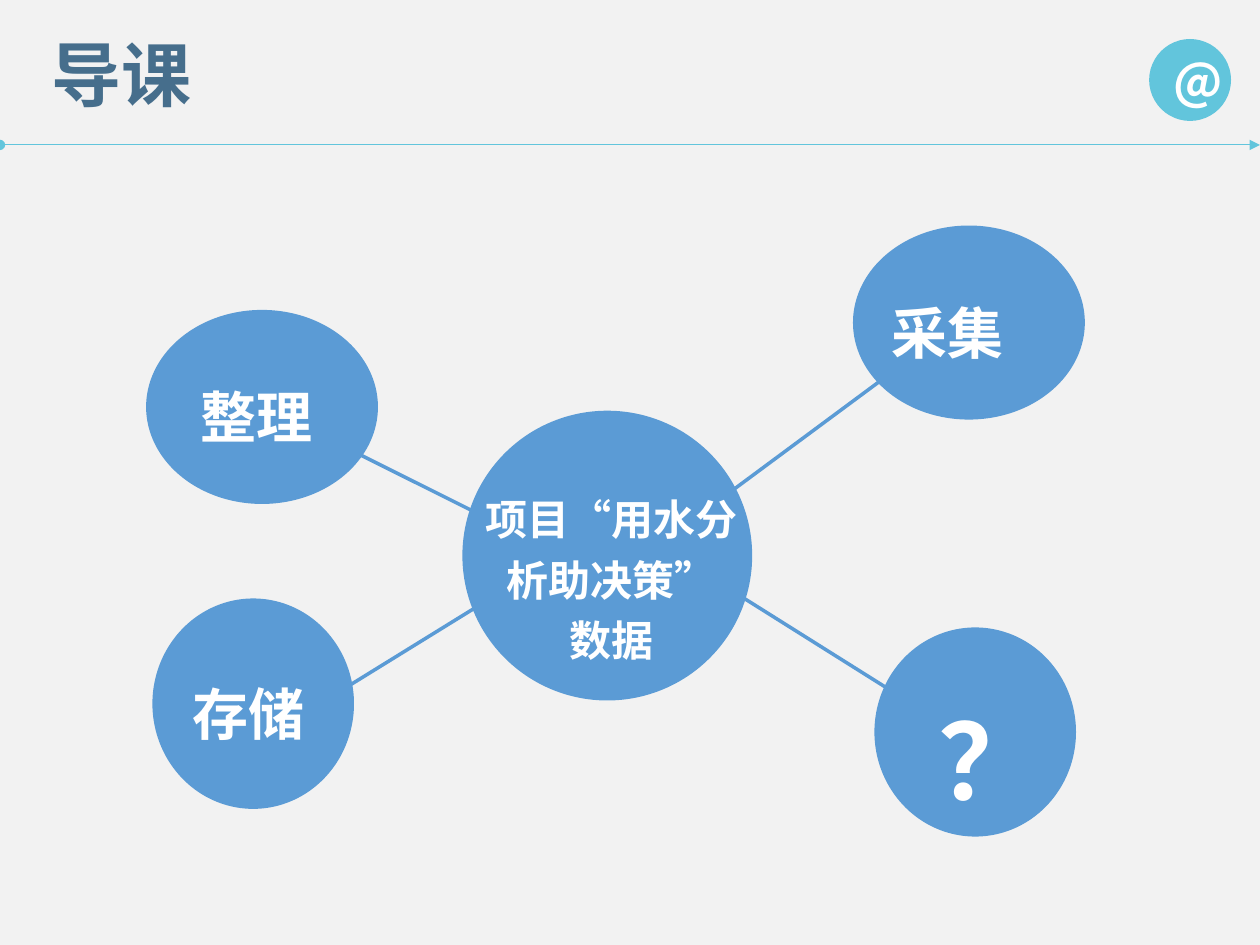
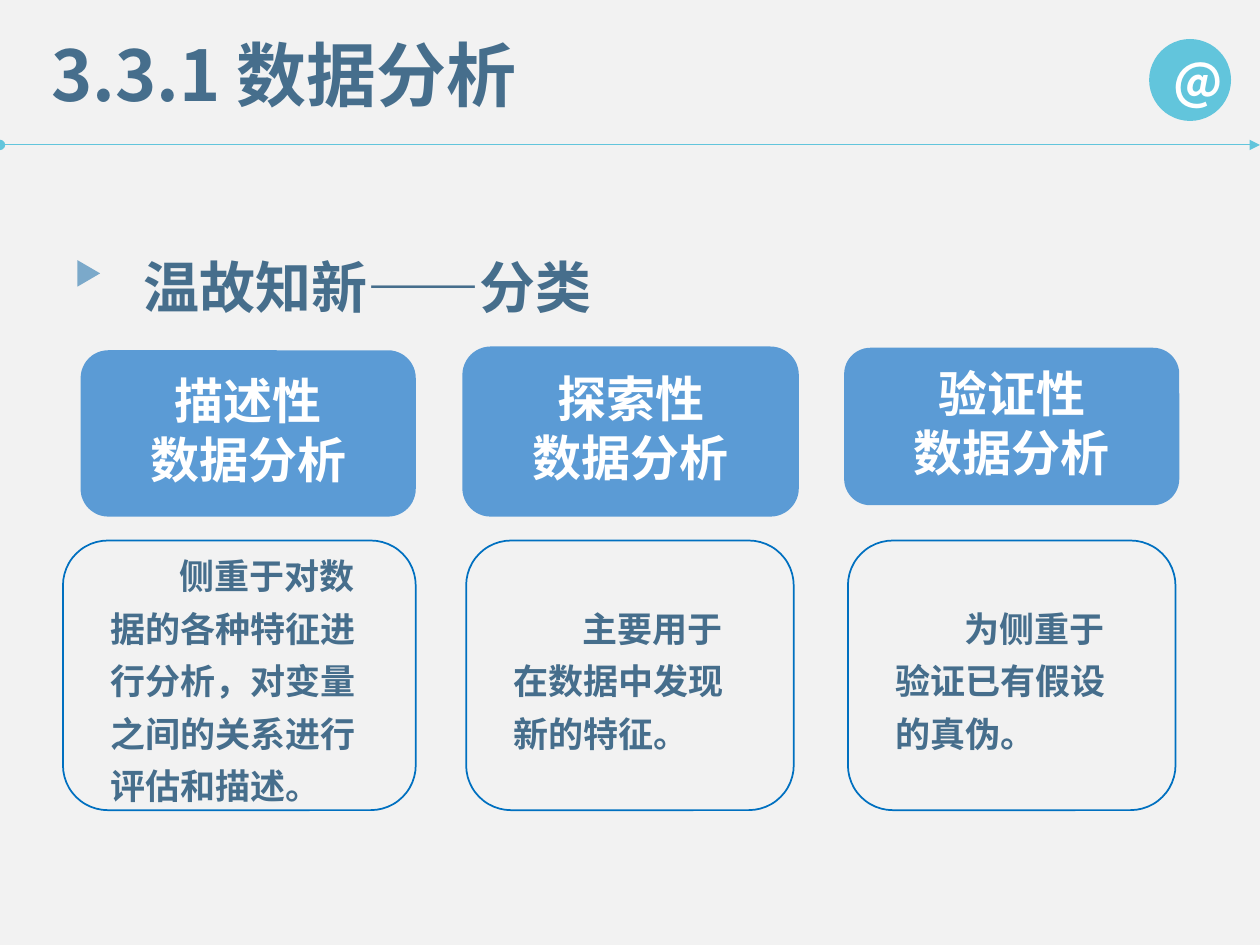
from lxml import etree
from pptx import Presentation
from pptx.dml.color import RGBColor
from pptx.enum.lang import MSO_LANGUAGE_ID
from pptx.enum.shapes import MSO_CONNECTOR, MSO_SHAPE
from pptx.enum.text import MSO_ANCHOR, MSO_AUTO_SIZE, PP_ALIGN
from pptx.oxml.ns import qn
from pptx.util import Inches, Pt

# Shared look
PAPER = RGBColor(0xF2, 0xF2, 0xF2)
SLATE = RGBColor(0x46, 0x6E, 0x8C)
AQUA = RGBColor(0x62, 0xC5, 0xDC)
BLUE = RGBColor(0x5B, 0x9B, 0xD5)
DEEP_BLUE = RGBColor(0x00, 0x70, 0xC0)
PALE_BLUE = RGBColor(0x7B, 0xA9, 0xCA)
WHITE = RGBColor(0xFF, 0xFF, 0xFF)
FONT = "Noto Sans CJK SC"
CHINESE = MSO_LANGUAGE_ID.SIMPLIFIED_CHINESE
STRAIGHT = MSO_CONNECTOR.STRAIGHT
OVAL, ROUNDED, TRIANGLE = MSO_SHAPE.OVAL, MSO_SHAPE.ROUNDED_RECTANGLE, MSO_SHAPE.ISOSCELES_TRIANGLE
LEFT, CENTER = PP_ALIGN.LEFT, PP_ALIGN.CENTER
TOP, MIDDLE = MSO_ANCHOR.TOP, MSO_ANCHOR.MIDDLE
NO_AUTOFIT = MSO_AUTO_SIZE.NONE
TITLE_ONLY = 5


def write(frame, lines, size, color, **paragraph_format):
    """Fill a text frame with one bold paragraph per line."""
    frame.word_wrap = True
    for index, line in enumerate(lines):
        paragraph = frame.add_paragraph() if index else frame.paragraphs[0]
        for name, value in paragraph_format.items():
            setattr(paragraph, name, value)
        run = paragraph.add_run()
        run.text = line
        run.font.color.rgb = color
        for name, value in {"name": FONT, "size": Pt(size), "bold": True,
                            "language_id": CHINESE}.items():
            setattr(run.font, name, value)
        etree.SubElement(run.font._element, qn("a:ea"), typeface=FONT)


def draw(slide, kind, box, fill, outline=None):
    """Add a flat preset shape, or a connector when kind is STRAIGHT."""
    box = [Inches(length) for length in box]
    if kind == STRAIGHT:
        line = slide.shapes.add_connector(kind, *box)
        line.line.color.rgb = fill
        line.line.width = Pt(outline)
        etree.SubElement(line._element.spPr, qn("a:effectLst"))
        return line
    shape = slide.shapes.add_shape(kind, *box)
    shape.shadow.inherit = False
    shape.fill.solid()
    shape.fill.fore_color.rgb = fill
    if outline:
        shape.line.color.rgb = outline
        shape.line.width = Pt(1)
    else:
        shape.line.fill.background()
    return shape


prs = Presentation()
prs.slide_width, prs.slide_height = Inches(10), Inches(7.5)
background = prs.slide_master.background.fill
background.solid()
background.fore_color.rgb = PAPER

# Title, rule and badge on both slides
slides = []
for heading in ("导课", "3.3.1 数据分析"):
    slide = prs.slides.add_slide(prs.slide_layouts[TITLE_ONLY])
    title = slide.shapes.title
    title.left, title.top, title.width, title.height = map(Inches, (0.31, 0.2, 6.94, 0.77))
    title.text_frame.auto_size = NO_AUTOFIT
    title.text_frame.vertical_anchor = TOP
    write(title.text_frame, [heading], 40, SLATE, alignment=LEFT)

    rule = draw(slide, STRAIGHT, (0, 1.15, 10, 1.15), AQUA, 0.5)
    rule_line = rule.line._get_or_add_ln()
    etree.SubElement(rule_line, qn("a:headEnd"), type="oval")
    etree.SubElement(rule_line, qn("a:tailEnd"), type="triangle")

    badge = draw(slide, OVAL, (9.12, 0.31, 0.65, 0.65), AQUA)
    write(badge.text_frame, ["@"], 28, WHITE, alignment=CENTER)
    slides.append(slide)

lead_in, analysis = slides

# Lead-in: spokes beneath the bubbles
for spoke in ((2.6, 3.48, 3.88, 4.12), (2.66, 5.51, 3.94, 4.72),
              (5.33, 4.25, 7.49, 2.65), (5.78, 4.67, 7.07, 5.48)):
    draw(lead_in, STRAIGHT, spoke, BLUE, 2)

# Lead-in: bubble, label box, lines, text size, line spacing, alignment
bubbles = [
    ((3.67, 3.26, 2.3, 2.3), (3.7, 3.79, 2.3, 1.55),
     ["项目“用水分析助决策”", "数据"], 24, 1.2, CENTER),
    ((6.77, 1.79, 1.84, 1.54), (6.98, 2.05, 2.35, 0.78), ["采集"], 32, 1.5, LEFT),
    ((1.16, 2.46, 1.84, 1.54), (1.49, 2.72, 2.75, 0.78), ["整理"], 32, 1.5, LEFT),
    ((6.94, 4.98, 1.6, 1.66), (7.35, 4.97, 2.39, 1.38), ["？"], 60, 1.5, LEFT),
    ((1.21, 4.75, 1.6, 1.67), (1.43, 5.08, 2.41, 0.78), ["存储"], 32, 1.5, LEFT),
]
for bubble, label_box, lines, size, spacing, alignment in bubbles:
    draw(lead_in, OVAL, bubble, BLUE)
    label = lead_in.shapes.add_textbox(*map(Inches, label_box))
    write(label.text_frame, lines, size, WHITE, line_spacing=spacing, alignment=alignment)

# Analysis: subheading with its marker
marker = draw(analysis, TRIANGLE, (0.6, 2.08, 0.21, 0.18), PALE_BLUE)
marker.rotation = 90
subheading = analysis.shapes.add_textbox(*map(Inches, (1.04, 1.69, 6.22, 0.91)))
write(subheading.text_frame, ["温故知新——分类"], 32, SLATE, line_spacing=1.5)

# Analysis: three kinds, each a heading card above a description card
kinds = [
    ("描述性", (0.64, 2.78, 2.66, 1.32), 0.5, 2.8,
     "侧重于对数据的各种特征进行分析，对变量之间的关系进行评估和描述。"),
    ("探索性", (3.67, 2.75, 2.67, 1.35), 3.7, 2.6, "主要用于在数据中发现新的特征。"),
    ("验证性", (6.7, 2.76, 2.66, 1.25), 6.73, 2.6, "为侧重于验证已有假设的真伪。"),
]
for kind, heading_box, left, width, description in kinds:
    description_card = draw(analysis, ROUNDED, (left, 4.29, width, 2.14), PAPER, DEEP_BLUE)
    heading_card = draw(analysis, ROUNDED, heading_box, BLUE)
    for card in (description_card, heading_card):
        for side in ("left", "top", "right", "bottom"):
            setattr(card.text_frame, f"margin_{side}", Inches(0.27))
        card.text_frame.vertical_anchor = MIDDLE
    write(description_card.text_frame, [description], 20, SLATE,
          alignment=LEFT, line_spacing=1.25, space_after=Pt(3.5))
    properties = description_card.text_frame.paragraphs[0]._p.get_or_add_pPr()
    properties.set("indent", str(Inches(0.55)))
    write(heading_card.text_frame, [kind, "数据分析"], 28, WHITE,
          alignment=CENTER, line_spacing=0.9, space_after=Pt(3.5))

prs.save("out.pptx")
